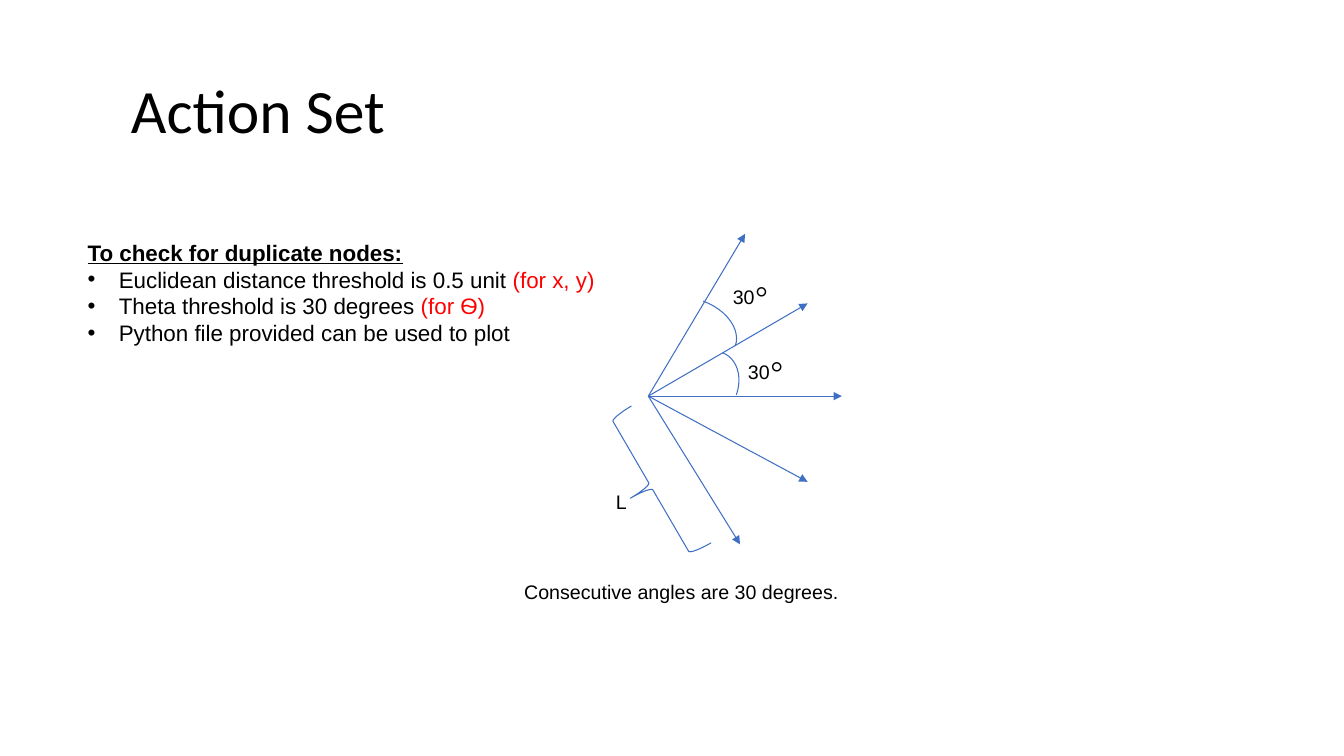
from lxml.etree import SubElement
from pptx import Presentation
from pptx.dml.color import RGBColor
from pptx.enum.shapes import MSO_CONNECTOR, MSO_SHAPE
from pptx.enum.text import MSO_ANCHOR
from pptx.oxml.ns import qn
from pptx.util import Pt

PX = 9144
BLACK, RED, BLUE = "000000", "FF0000", "3F6FC3"


def px(length):
    """Turn px into EMU."""
    return round(length * PX)


def color(hex_text):
    """Return the colour for a hex string."""
    return RGBColor.from_string(hex_text)


def add_run(paragraph, text, size=14, font="Arial", fill=BLACK, bold=False, underline=False):
    """Append formatted text to a paragraph."""
    run = paragraph.add_run()
    run.text = text
    run.font.size = Pt(size)
    run.font.name = font
    run.font.bold = bold
    run.font.underline = underline
    run.font.color.rgb = color(fill)


def add_text_frame(slide, left, top, width, height, anchor=MSO_ANCHOR.TOP):
    """Add a wrapping text box and return its text frame."""
    text_frame = slide.shapes.add_textbox(px(left), px(top), px(width), px(height)).text_frame
    text_frame.word_wrap = True
    text_frame.vertical_anchor = anchor
    return text_frame


def add_bullet(paragraph, indent=31):
    """Give a paragraph a hanging round bullet."""
    properties = paragraph._p.get_or_add_pPr()
    properties.set("marL", str(px(indent)))
    properties.set("indent", str(px(-indent)))
    SubElement(properties, qn("a:buFont"), typeface="Arial")
    SubElement(properties, qn("a:buChar"), char="•")


def add_arrow(slide, start, end):
    """Draw a thin blue arrow."""
    points = [px(value) for value in (*start, *end)]
    arrow = slide.shapes.add_connector(MSO_CONNECTOR.STRAIGHT, *points)
    arrow.line.color.rgb = color(BLUE)
    arrow.line.width = Pt(0.75)
    SubElement(arrow.line._get_or_add_ln(), qn("a:tailEnd"), type="triangle")
    SubElement(arrow._element.spPr, qn("a:effectLst"))


def add_outline(slide, kind, left, top, width, height, rotation):
    """Draw an unfilled, turned blue outline."""
    shape = slide.shapes.add_shape(kind, px(left), px(top), px(width), px(height))
    shape.rotation = rotation
    shape.shadow.inherit = False
    shape.fill.background()
    shape.line.color.rgb = color(BLUE)
    shape.line.width = Pt(0.75)


def add_title(slide, left, top, width, height):
    """Place the slide title."""
    paragraph = add_text_frame(slide, left, top, width, height, MSO_ANCHOR.MIDDLE).paragraphs[0]
    paragraph.line_spacing = 0.9
    add_run(paragraph, "Action Set", size=44, font="Calibri")


def add_duplicate_check(slide, left, top, width, height):
    """Place the heading and bullets on duplicate nodes."""
    text_frame = add_text_frame(slide, left, top, width, height)
    heading = text_frame.paragraphs[0]
    add_run(heading, "To check for duplicate nodes:", size=16, bold=True, underline=True)
    bullets = [
        ("Euclidean distance threshold is 0.5 unit ", "(for x, y)"),
        ("Theta threshold is 30 degrees ", "(for Ѳ)"),
        ("Python file provided can be used to plot", ""),
    ]
    for statement, variables in bullets:
        paragraph = text_frame.add_paragraph()
        add_bullet(paragraph)
        add_run(paragraph, statement, size=16)
        if variables:
            add_run(paragraph, variables, size=16, fill=RED)


def add_action_fan(slide, left, top, width, height):
    """Place the five actions with their angles, length and caption."""
    origin = (left + 133, top + 161)
    for across, down in [(96, -161), (158, -92), (192, 0), (158, 85), (91, 147)]:
        add_arrow(slide, origin, (origin[0] + across, origin[1] + down))
    add_outline(slide, MSO_SHAPE.ARC, left + 132, top + 65, 90, 62, 20)
    add_outline(slide, MSO_SHAPE.ARC, left + 168, top + 116, 54, 69, 20)
    add_outline(slide, MSO_SHAPE.LEFT_BRACE, left + 112, top + 172, 47, 157, 329.8)
    for label_left, label_top in [(207, 26), (222, 101)]:
        angle = add_text_frame(slide, left + label_left, top + label_top, 117, 57).paragraphs[0]
        add_run(angle, "30")
        add_run(angle, "◦", size=28)
    add_run(add_text_frame(slide, left + 91, top + 249, 117, 34).paragraphs[0], "L")
    caption = add_text_frame(slide, left, top + height - 34, width, 34).paragraphs[0]
    add_run(caption, "Consecutive angles are 30 degrees.")


def main():
    """Build and save the slide."""
    presentation = Presentation()
    presentation.slide_width, presentation.slide_height = px(1333), px(750)
    slide = presentation.slides.add_slide(presentation.slide_layouts[6])
    add_title(slide, 120, 40, 1122, 145)
    add_duplicate_check(slide, 77, 232, 595, 118)
    add_action_fan(slide, 510, 232, 357, 372)
    presentation.save("out.pptx")


if __name__ == "__main__":
    main()
